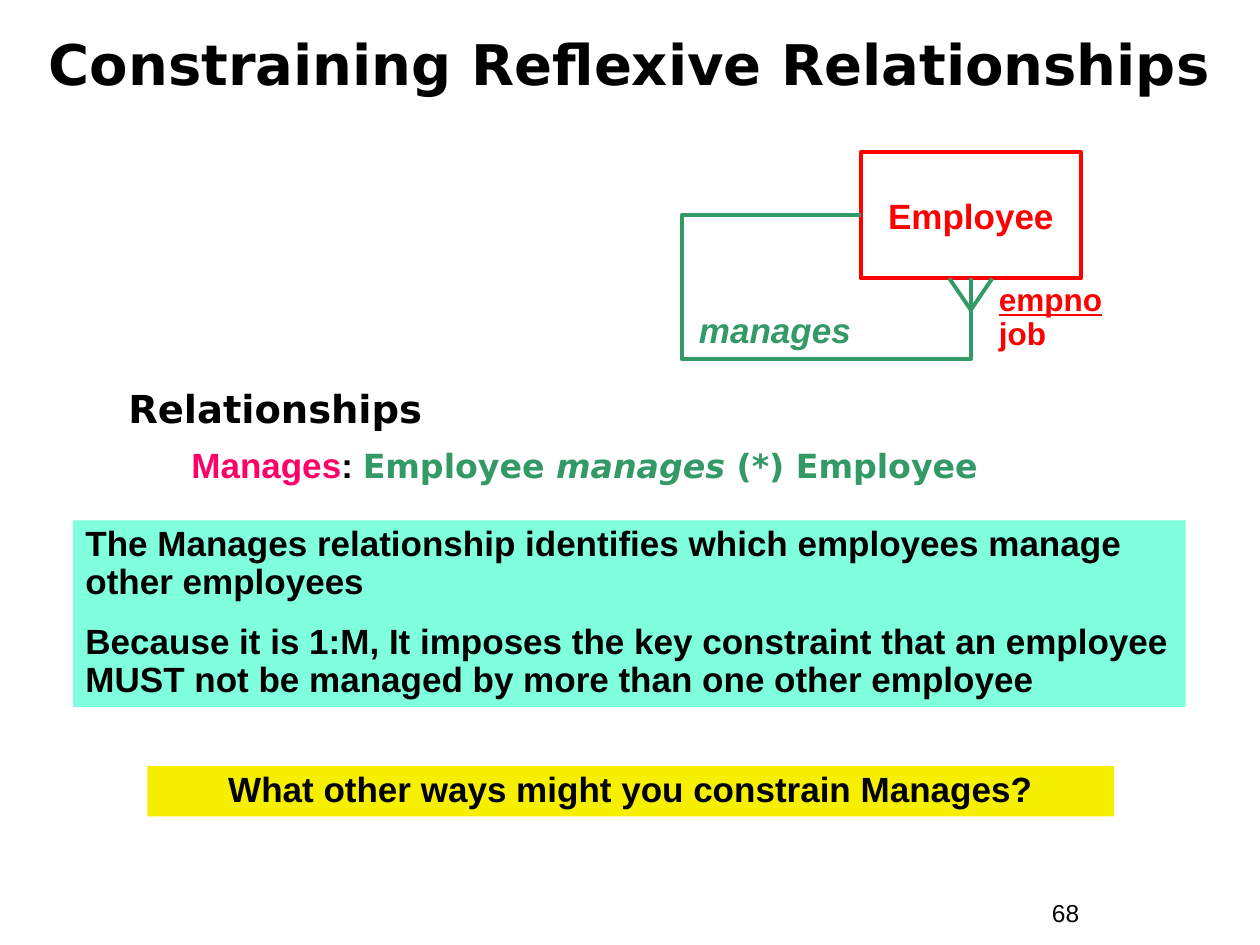
import lxml.etree
import pptx
import pptx.util
import pptx.dml.color
import pptx.enum.shapes
import pptx.enum.text
import pptx.oxml.ns
from pptx.util import Inches

ALIGN = pptx.enum.text.PP_ALIGN
ANCHOR = pptx.enum.text.MSO_ANCHOR
CONNECTOR = pptx.enum.shapes.MSO_CONNECTOR
RECT = pptx.enum.shapes.MSO_SHAPE.RECTANGLE
BLACK, RED, GREEN, PINK = "000000", "FF0000", "339966", "FF0066"
AQUA, YELLOW = "7FFFDD", "F6F000"
HEADING_FONT = "DejaVu Sans"


def rgb(color):
    return pptx.dml.color.RGBColor.from_string(color)


def add_element(parent, tag, **attributes):
    return lxml.etree.SubElement(parent, pptx.oxml.ns.qn(tag), **attributes)


def add_run(p, text, size=20, color=BLACK, font="Arial", bold=True, italic=False, underline=False):
    r = p.add_run()
    r.text = text
    r.font.size = pptx.util.Pt(size)
    r.font.name = font
    r.font.bold = bold
    r.font.italic = italic
    r.font.underline = underline
    r.font.color.rgb = rgb(color)


def add_paragraph(tf, first=False, align=ALIGN.LEFT, spacing=1.0, before=0):
    p = tf.paragraphs[0] if first else tf.add_paragraph()
    p.alignment = align
    p.line_spacing = spacing
    p.space_before = pptx.util.Pt(before)
    return p


def add_text_box(slide, box, anchor=ANCHOR.TOP):
    tf = slide.shapes.add_textbox(*map(Inches, box)).text_frame
    tf.word_wrap = True
    tf.vertical_anchor = anchor
    return tf


def add_rect(slide, box, fill=None, line=None, anchor=ANCHOR.TOP):
    sp = slide.shapes.add_shape(RECT, *map(Inches, box))
    sp.shadow.inherit = False
    if fill:
        sp.fill.solid()
        sp.fill.fore_color.rgb = rgb(fill)
    else:
        sp.fill.background()
    if line:
        sp.line.color.rgb = rgb(line)
        sp.line.width = pptx.util.Pt(2.25)
    else:
        sp.line.fill.background()
    sp.text_frame.word_wrap = True
    sp.text_frame.vertical_anchor = anchor
    return sp


def add_line(slide, kind, x1, y1, x2, y2):
    cxn = slide.shapes.add_connector(kind, *map(Inches, (x1, y1, x2, y2)))
    cxn.line.color.rgb = rgb(GREEN)
    cxn.line.width = pptx.util.Pt(2.25)
    add_element(cxn._element.spPr, "a:effectLst")
    return cxn


def add_loop(slide, entity, box, reach, drop):
    """Route a line from the entity's left side round to its bottom."""
    x, y, w, h = box
    cxn = add_line(slide, CONNECTOR.ELBOW, x, y + h / 2, x + w / 2, y + h)
    cxn.begin_connect(entity, 1)
    cxn.end_connect(entity, 2)
    geom = cxn._element.spPr.find(pptx.oxml.ns.qn("a:prstGeom"))
    geom.set("prst", "bentConnector4")
    guides = geom.get_or_add_avLst()
    ratios = (-reach / (w / 2), 1 + drop / (h / 2))
    for i, ratio in enumerate(ratios, 1):
        add_element(guides, "a:gd", name=f"adj{i}", fmla=f"val {round(ratio * 100000)}")


def add_title(slide, box):
    p = add_paragraph(add_text_box(slide, box, ANCHOR.MIDDLE), True, ALIGN.CENTER, 0.85)
    add_run(p, "Constraining Reflexive Relationships", 32, font=HEADING_FONT)


def add_diagram(slide, box):
    x, y, w, h = box
    entity = add_rect(slide, box, line=RED, anchor=ANCHOR.MIDDLE)
    entity.text_frame.word_wrap = False
    add_run(add_paragraph(entity.text_frame, True, ALIGN.CENTER), "Employee", color=RED)

    # Reflexive relationship with a crow's foot at its "many" end
    add_loop(slide, entity, box, reach=1.42, drop=0.64)
    foot_x, foot_y = x + w / 2, y + h
    for dx in (0.17, -0.17):
        add_line(slide, CONNECTOR.STRAIGHT, foot_x, foot_y + 0.25, foot_x + dx, foot_y)

    # Relationship name and entity attributes
    tf = add_text_box(slide, (x - 1.64, y + 1.19, 1.92, 0.44))
    add_run(add_paragraph(tf, True, ALIGN.CENTER), "manages", color=GREEN, italic=True)
    tf = add_text_box(slide, (x + 1, y + h, 1.17, 0.64))
    p = add_paragraph(tf, True, spacing=0.9)
    add_run(p, "empno", 18, RED, underline=True)
    p.add_line_break()
    add_run(p, "job", 18, RED)


def add_relationships(slide, box):
    tf = add_text_box(slide, box)
    p = add_paragraph(tf, True, spacing=0.9)
    add_run(p, "Relationships", 22, font=HEADING_FONT)
    p = add_paragraph(tf, spacing=0.9, before=9.5)
    p.level = 1
    pPr = p._p.get_or_add_pPr()
    pPr.set("marL", str(Inches(0.5)))
    pPr.set("indent", "0")
    add_run(p, "Manages", color=PINK)
    add_run(p, ": ")
    for text, italic in (("Employee ", False), ("manages", True), (" (*) Employee", False)):
        add_run(p, text, 19, GREEN, HEADING_FONT, italic=italic)


def add_panel(slide, box, fill, texts, align=ALIGN.LEFT):
    tf = add_rect(slide, box, fill=fill).text_frame
    for i, text in enumerate(texts):
        p = add_paragraph(tf, i == 0, align, 0.9, 12.5 if i else 0)
        add_run(p, text)


def add_page_number(slide, box):
    p = add_paragraph(add_text_box(slide, box), True)
    add_run(p, "68", 14, bold=False)


def main():
    prs = pptx.Presentation()
    prs.slide_width, prs.slide_height = Inches(10), Inches(7.5)
    slide = prs.slides.add_slide(prs.slide_layouts[6])
    add_page_number(slide, (8.25, 7.08, 0.92, 0.34))
    add_title(slide, (0.25, 0.25, 9.5, 0.58))
    add_panel(slide, (0.58, 4.13, 8.83, 1.48), AQUA, [
        "The Manages relationship identifies which employees manage other employees",
        "Because it is 1:M, It imposes the key constraint that an employee "
        "MUST not be managed by more than one other employee",
    ])
    add_diagram(slide, (6.83, 1.21, 1.75, 1))
    add_relationships(slide, (0.92, 3.05, 7.75, 0.86))
    add_panel(slide, (1.17, 6.08, 7.67, 0.4), YELLOW,
              ["What other ways might you constrain Manages?"], ALIGN.CENTER)
    prs.save("out.pptx")


if __name__ == "__main__":
    main()
